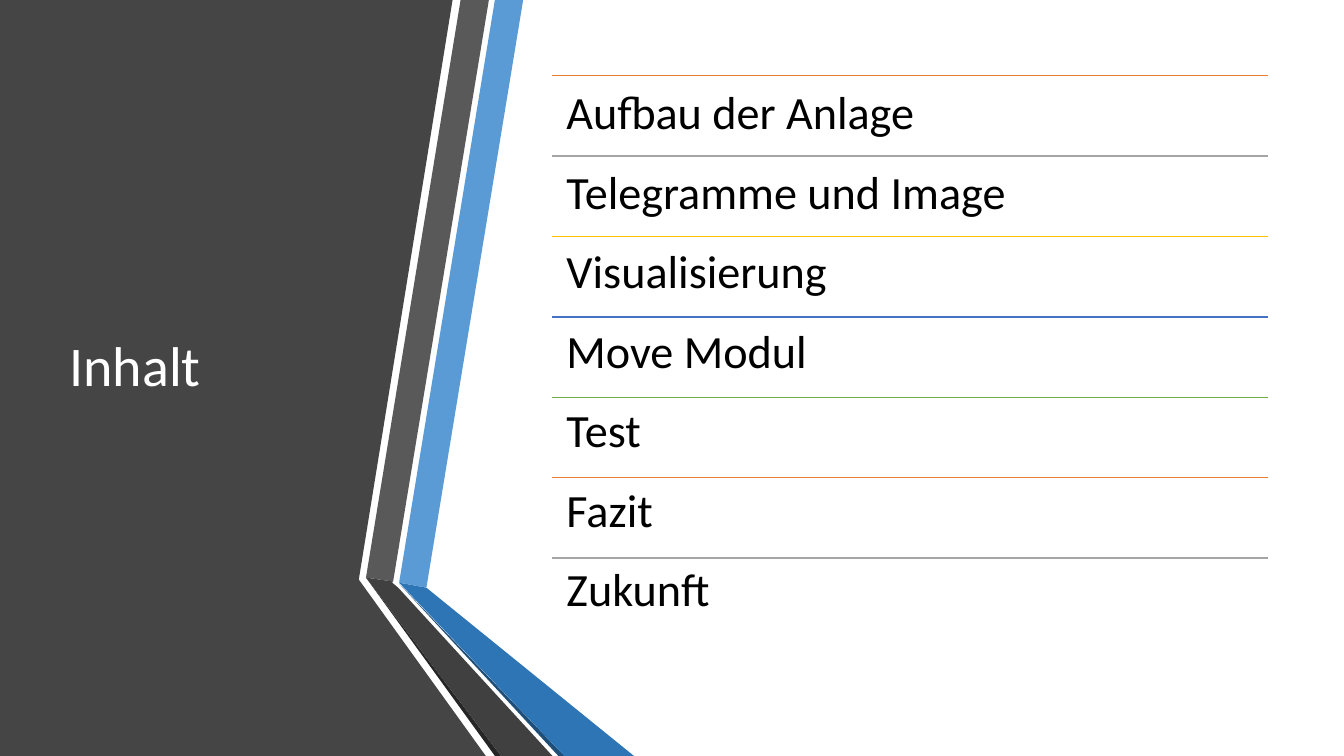
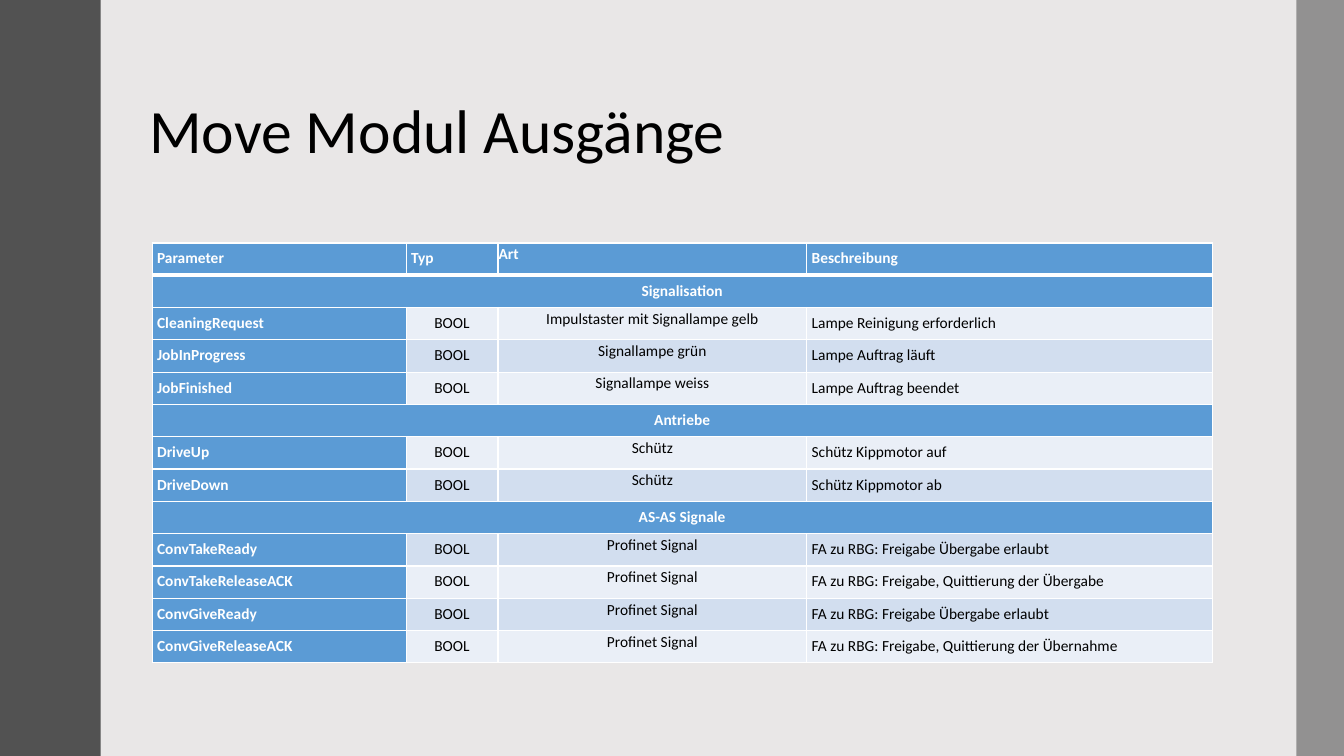
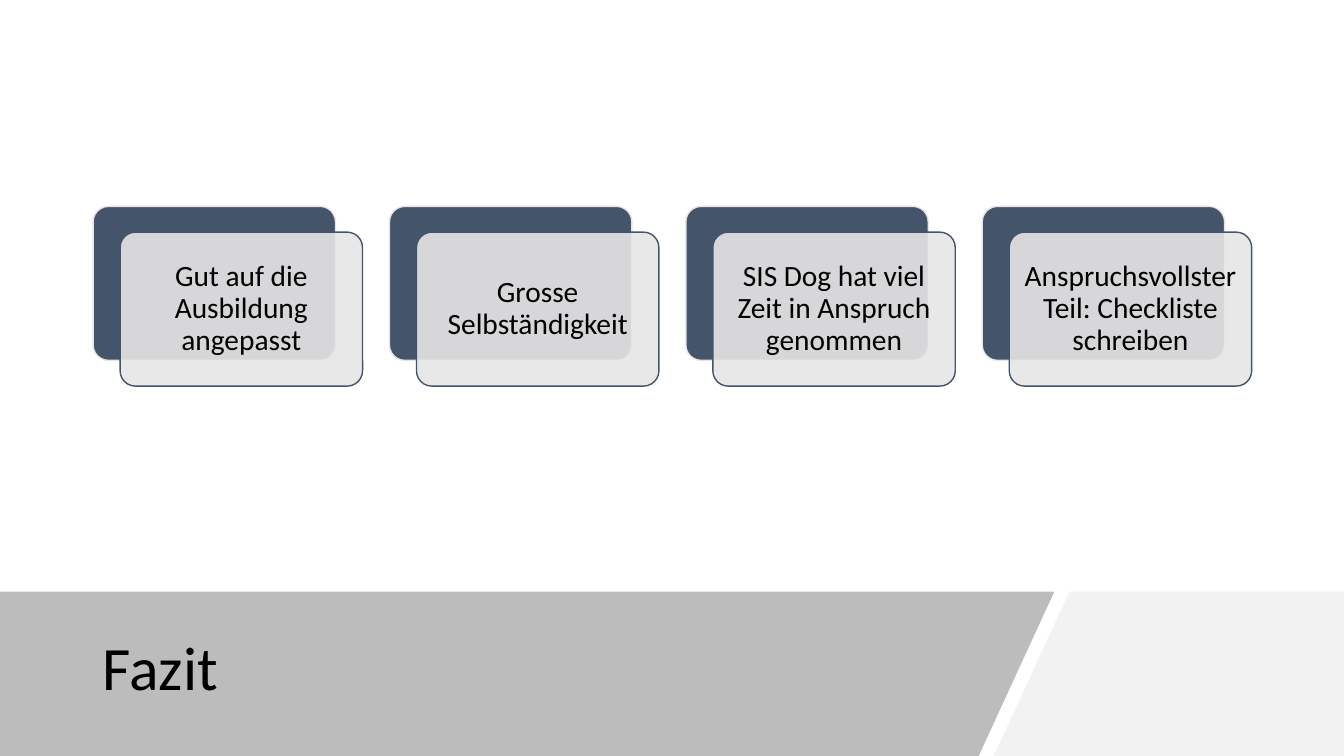
"""Builds three slides: a contents list, an output table and a conclusion."""
from lxml.etree import SubElement
from pptx import Presentation
from pptx.dml.color import RGBColor
from pptx.enum.shapes import MSO_CONNECTOR, MSO_SHAPE
from pptx.enum.text import MSO_ANCHOR, MSO_AUTO_SIZE, PP_ALIGN
from pptx.oxml.ns import qn
from pptx.util import Pt

WIDTH, HEIGHT = 960, 540
FONT = "Calibri"
WHITE, BLACK, SLATE, PALE = "FFFFFF", "000000", "44546A", "E7E6E6"
BLUE, GREY, BANDS = "5B9BD5", "595959", ("EAEFF7", "D2DEEF")

TOPICS = [
    ("Aufbau der Anlage", "ED7D31"),
    ("Telegramme und Image", "A5A5A5"),
    ("Visualisierung", "FFC000"),
    ("Move Modul", "4472C4"),
    ("Test", "70AD47"),
    ("Fazit", "ED7D31"),
    ("Zukunft", "A5A5A5"),
]
CHEVRON = [
    ("454545", [(0, 0), (323.3, 0), (256.3, 414), (347, 540), (0, 540)]),
    (BLUE, [(285.1, 416.2), (304.6, 419.8), (373.7, 0), (353.5, 0)]),
    (GREY, [(349.2, 0), (329, 0), (261.4, 412.6), (280.8, 415.4)]),
    ("262626", [(261.4, 412.6), (353.5, 540), (357.8, 540)]),
    ("1F4E79", [(285.1, 416.9), (398.9, 540), (403.2, 540)]),
    ("2E75B6", [(285.1, 416.2), (403.2, 540), (452.9, 540), (304.6, 419.8)]),
    ("404040", [(394.6, 540), (284.4, 419.8), (280.1, 416.2), (280.8, 415.4),
                (261.4, 412.6), (357.8, 540)]),
]
COLUMNS = [("Parameter", 181.4), ("Typ", 65.6), ("Art", 220.6), ("Beschreibung", 289.6)]
SIGNAL = "Profinet Signal"
OUTPUTS = [
    ("Signalisation", [
        ("CleaningRequest", "Impulstaster mit Signallampe gelb", "Lampe Reinigung erforderlich"),
        ("JobInProgress", "Signallampe grün", "Lampe Auftrag läuft"),
        ("JobFinished", "Signallampe weiss", "Lampe Auftrag beendet"),
    ]),
    ("Antriebe", [
        ("DriveUp", "Schütz", "Schütz Kippmotor auf"),
        ("DriveDown", "Schütz", "Schütz Kippmotor ab"),
    ]),
    ("AS-AS Signale", [
        ("ConvTakeReady", SIGNAL, "FA zu RBG: Freigabe Übergabe erlaubt"),
        ("ConvTakeReleaseACK", SIGNAL, "FA zu RBG: Freigabe, Quittierung der Übergabe"),
        ("ConvGiveReady", SIGNAL, "FA zu RBG: Freigabe Übergabe erlaubt"),
        ("ConvGiveReleaseACK", SIGNAL, "FA zu RBG: Freigabe, Quittierung der Übernahme"),
    ]),
]
FINDINGS = [
    "Gut auf die Ausbildung angepasst",
    "Grosse Selbständigkeit",
    "SIS Dog hat viel Zeit in Anspruch genommen",
    "Anspruchsvollster Teil: Checkliste schreiben",
]
FOOTER = [
    ("F2F2F2", 100, [(763.9, 422.6), (960, 422.6), (960, 540), (709.9, 540)]),
    (GREY, 40, [(0, 422.6), (753.1, 422.6), (699.1, 540), (0, 540)]),
]


def rgb(value):
    return RGBColor.from_string(value)


def apply(target, values):
    for name, value in values.items():
        setattr(target, name, value)


def write(frame, lines, size, color=BLACK, bold=False, anchor=MSO_ANCHOR.TOP,
          insets=(7.2, 3.6), **layout):
    side, edge = (Pt(inset) for inset in insets)
    apply(frame, {"margin_left": side, "margin_right": side, "margin_top": edge,
                  "margin_bottom": edge, "word_wrap": True, "vertical_anchor": anchor})
    frame.text = "\n".join(lines)
    for para in frame.paragraphs:
        apply(para, {"alignment": PP_ALIGN.LEFT, "line_spacing": 0.9,
                     "space_before": Pt(0), **layout})
        apply(para.font, {"name": FONT, "size": Pt(size), "bold": bold})
        para.font.color.rgb = rgb(color)


def place(shape, left, top, width, height):
    apply(shape, {"left": Pt(left), "top": Pt(top), "width": Pt(width), "height": Pt(height)})


def paint(shape, color, opacity=100, outline=None):
    shape.shadow.inherit = False
    shape.fill.solid()
    shape.fill.fore_color.rgb = rgb(color)
    if opacity < 100:
        tint = next(shape.element.spPr.iter(qn("a:srgbClr")))
        SubElement(tint, qn("a:alpha")).set("val", str(opacity * 1000))
    if outline:
        shape.line.color.rgb = rgb(outline)
        shape.line.width = Pt(1)
    else:
        shape.line.fill.background()


def add_box(page, kind, bounds, color, opacity=100, outline=None):
    box = page.shapes.add_shape(kind, *map(Pt, bounds))
    paint(box, color, opacity, outline)
    return box


def add_outline(page, points, color, opacity=100):
    first, *rest = [(Pt(x), Pt(y)) for x, y in points]
    builder = page.shapes.build_freeform(*first)
    builder.add_line_segments(rest, close=True)
    paint(builder.convert_to_shape(), color, opacity)


def add_rule(page, left, right, y, color):
    rule = page.shapes.add_connector(MSO_CONNECTOR.STRAIGHT, Pt(left), Pt(y), Pt(right), Pt(y))
    rule.line.color.rgb = rgb(color)
    rule.line.width = Pt(1)
    SubElement(rule.element.spPr, qn("a:effectLst"))


def add_page(deck, layout, background=WHITE):
    page = deck.slides.add_slide(deck.slide_layouts[layout])
    page.background.fill.solid()
    page.background.fill.fore_color.rgb = rgb(background)
    return page


def set_title(page, text, bounds, size=44, color=BLACK):
    title = page.shapes.title
    place(title, *bounds)
    write(title.text_frame, [text], size, color, anchor=MSO_ANCHOR.MIDDLE)
    title.element.getparent().append(title.element)


def build_contents(deck):
    page = add_page(deck, 1)
    for color, points in CHEVRON:
        add_outline(page, points, color)
    set_title(page, "Inhalt", (42.5, 54, 218.9, 417.6), 40, WHITE)
    left, top, width, step = 394.6, 54, 511.2, 57.45
    size = 33
    body = page.placeholders[1]
    place(body, left, top, width, step * len(TOPICS))
    write(body.text_frame, [topic for topic, _ in TOPICS], size, insets=(10, 10),
          space_after=Pt(step - size * 1.22 * 0.9))
    body.text_frame.auto_size = MSO_AUTO_SIZE.NONE
    for para in body.text_frame.paragraphs:
        properties = para._p.get_or_add_pPr()
        properties.set("marL", "0")
        properties.set("indent", "0")
        SubElement(properties, qn("a:buNone"))
    for index, (_, color) in enumerate(TOPICS):
        add_rule(page, left, left + width, top + index * step, color)


def set_borders(cell, top=1, bottom=1):
    properties = cell._tc.get_or_add_tcPr()
    for side, width in (("L", 1), ("R", 1), ("T", top), ("B", bottom)):
        border = SubElement(properties, qn(f"a:ln{side}"), w=str(Pt(width)))
        SubElement(SubElement(border, qn("a:solidFill")), qn("a:srgbClr")).set("val", WHITE)


def build_outputs(deck):
    page = add_page(deck, 5, "E9E7E7")
    set_title(page, "Move Modul Ausgänge", (99.4, 43.2, 776.2, 104.4))
    add_box(page, MSO_SHAPE.RECTANGLE, (0, 0, 72, HEIGHT), "525252")
    add_box(page, MSO_SHAPE.RECTANGLE, (926, 0, 34, HEIGHT), GREY, 60)

    rows = [[name for name, _ in COLUMNS]]
    for section, entries in OUTPUTS:
        rows.append([section])
        rows += [[name, "BOOL", kind, note] for name, kind, note in entries]
    row_height = 23.1
    table = page.shapes.add_table(len(rows), len(COLUMNS), Pt(108.7), Pt(173.5), Pt(757.2),
                                  Pt(row_height * len(rows))).table
    for column, (_, width) in zip(table.columns, COLUMNS):
        column.width = Pt(width)
    for r, texts in enumerate(rows):
        table.rows[r].height = Pt(row_height)
        section = len(texts) == 1
        if section:
            table.cell(r, 0).merge(table.cell(r, len(COLUMNS) - 1))
        for c, text in enumerate(texts):
            cell = table.cell(r, c)
            strong = r == 0 or c == 0
            centred = section or (r > 0 and c in (1, 2))
            inset = Pt(0.5 if c == 2 else 3.5)
            set_borders(cell, top=3 if r == 1 else 1, bottom=3 if r == 0 else 1)
            cell.fill.solid()
            cell.fill.fore_color.rgb = rgb(BLUE if strong else BANDS[r % 2])
            write(cell.text_frame, [text], 11, WHITE if strong else BLACK, strong,
                  line_spacing=1.07,
                  alignment=PP_ALIGN.CENTER if centred else PP_ALIGN.LEFT)
            apply(cell, {f"margin_{side}": inset for side in ("left", "right", "top", "bottom")})
            cell.vertical_anchor = MSO_ANCHOR.TOP


def build_conclusion(deck):
    page = add_page(deck, 5)
    for color, opacity, points in FOOTER:
        add_outline(page, points, color, opacity)
    set_title(page, "Fazit", (66.2, 435.6, 635.8, 86.4))
    left, top, width, height = 66.5, 147.4, 173.2, 110
    step, shift_x, shift_y = 211.7, 19.3, 18.4
    for index, finding in enumerate(FINDINGS):
        x = left + index * step
        back = add_box(page, MSO_SHAPE.ROUNDED_RECTANGLE, (x, top, width, height),
                       SLATE, outline=PALE)
        front = add_box(page, MSO_SHAPE.ROUNDED_RECTANGLE,
                        (x + shift_x, top + shift_y, width, height), PALE, 90, SLATE)
        for card in (back, front):
            card.adjustments[0] = 0.1
        write(front.text_frame, [finding], 21, anchor=MSO_ANCHOR.MIDDLE, insets=(6.3, 6.3),
              alignment=PP_ALIGN.CENTER)


def main():
    deck = Presentation()
    deck.slide_width, deck.slide_height = Pt(WIDTH), Pt(HEIGHT)
    for build in (build_contents, build_outputs, build_conclusion):
        build(deck)
    deck.save("out.pptx")


if __name__ == "__main__":
    main()
